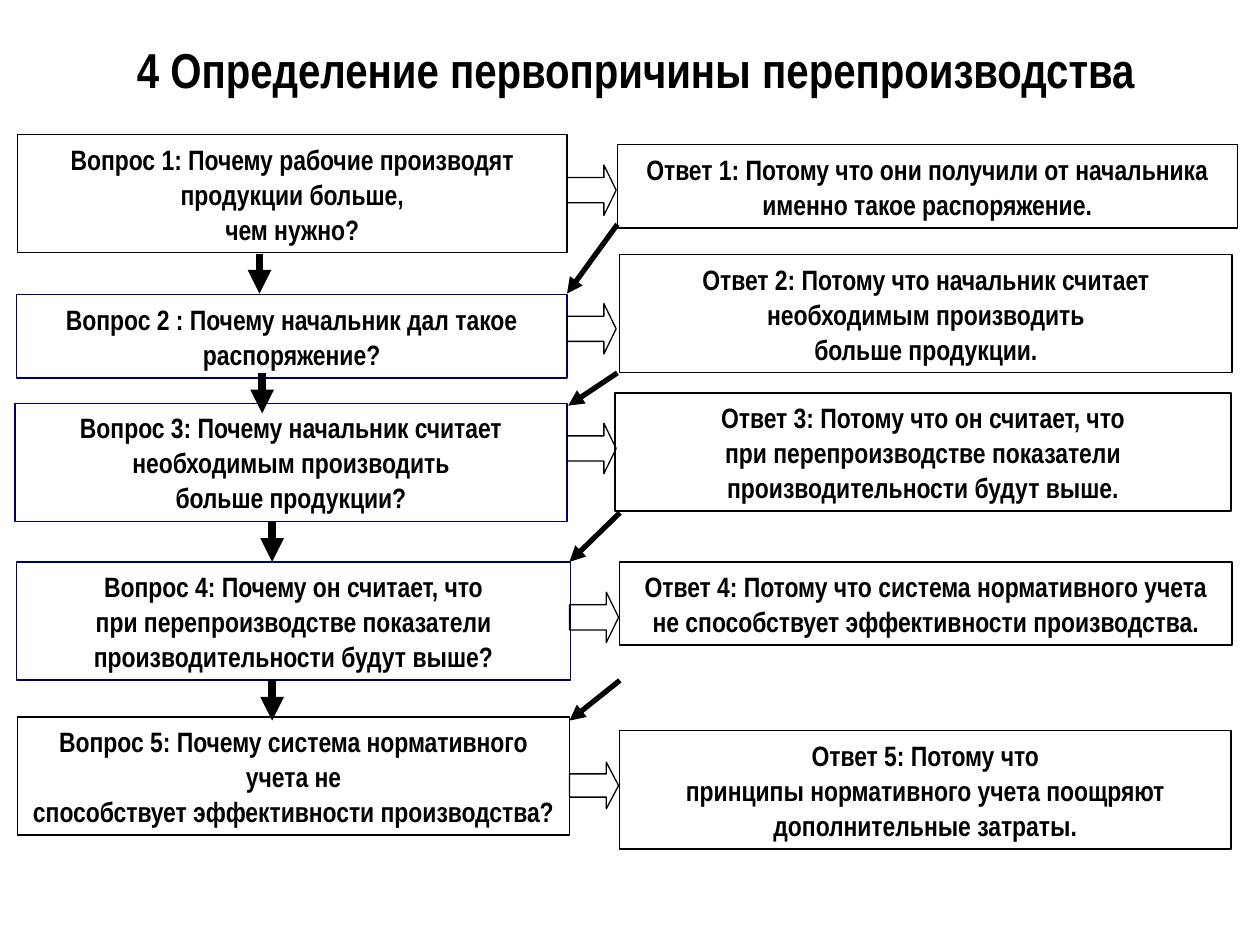
from dataclasses import dataclass

import pptx
import pptx.dml.color
import pptx.enum.shapes
import pptx.enum.text
import pptx.oxml
import pptx.oxml.ns
import pptx.util
from pptx.util import Pt

BLACK, NAVY = "000000", "000066"
LINE_PITCH = 20
BOX_PADDING = 7.5
TEXT_FORMAT = {"name": "Arial Narrow", "bold": True}


@dataclass
class Statement:
    left: float
    top: float
    width: float
    lines: int
    paragraphs: list[str]
    outline: str = BLACK


@dataclass
class BlockArrow:
    left: float
    top: float
    height: float = 28.8
    head: float = 0.25


@dataclass
class Link:
    start: tuple[float, float]
    end: tuple[float, float]
    weight: float


QUESTIONS = [
    Statement(10.1, 77, 313.9, 3, ["Вопрос 1: Почему рабочие производят продукции больше,", "чем нужно?"]),
    Statement(9.4, 168.5, 314.6, 2, ["Вопрос 2 : Почему начальник дал такое распоряжение?"], NAVY),
    Statement(8.6, 230.4, 315.4, 3,
              ["Вопрос 3: Почему начальник считает необходимым производить", "больше продукции?"], NAVY),
    Statement(9.4, 321.1, 316.8, 3,
              ["Вопрос 4: Почему он считает, что",
               "при перепроизводстве показатели производительности будут выше?"], NAVY),
    Statement(10.1, 409.7, 315.4, 3,
              ["Вопрос 5: Почему система нормативного учета не", "способствует эффективности производства?"]),
]
ANSWERS = [
    Statement(352.8, 82.8, 354.2, 2,
              ["Ответ 1: Потому что они получили от начальника именно такое распоряжение."]),
    Statement(354.2, 145.4, 349.9, 3,
              ["Ответ 2: Потому что начальник считает необходимым производить", "больше продукции."]),
    Statement(351.4, 224.6, 352.1, 3,
              ["Ответ 3: Потому что он считает, что",
               "при перепроизводстве показатели производительности будут выше."]),
    Statement(354.2, 321.1, 349.9, 2,
              ["Ответ 4: Потому что система нормативного учета не способствует эффективности производства."]),
    Statement(354.2, 417.6, 349.2, 3,
              ["Ответ 5: Потому что", "принципы нормативного учета поощряют дополнительные затраты."]),
]
TO_ANSWER = [
    BlockArrow(324, 94.3),
    BlockArrow(324, 173.5),
    BlockArrow(324, 241.9),
    BlockArrow(325.4, 338.4),
    BlockArrow(325.4, 435.6, 26.6, 0.264),
]
TO_NEXT_QUESTION = [
    Link((x, top), (x, bottom), 4.5)
    for x, top, bottom in [(148.3, 145.4, 167.8), (149.8, 213.1, 236.2),
                           (155.5, 298.1, 321.1), (155.5, 388.8, 411.8)]
]
FROM_ANSWER = [
    Link((352.8, 128.2), (324, 167.8), 3),
    Link((352.8, 213.1), (324.7, 231.8), 3),
    Link((354.2, 293), (325.4, 321.1), 3),
    Link((354.2, 388.8), (325.4, 411.8), 3),
]


def rgb(color: str) -> pptx.dml.color.RGBColor:
    return pptx.dml.color.RGBColor.from_string(color)


def write(frame, paragraphs: list[str], size: float, pitch: float) -> None:
    frame.word_wrap = True
    frame.vertical_anchor = pptx.enum.text.MSO_ANCHOR.TOP
    for number, wording in enumerate(paragraphs):
        paragraph = frame.add_paragraph() if number else frame.paragraphs[0]
        paragraph.alignment = pptx.enum.text.PP_ALIGN.CENTER
        paragraph.line_spacing = Pt(pitch)
        run = paragraph.add_run()
        run.text = wording
        for attribute, value in {**TEXT_FORMAT, "size": Pt(size)}.items():
            setattr(run.font, attribute, value)
        run.font.color.rgb = rgb(BLACK)


def add_outlined(slide, kind, left: float, top: float, width: float, height: float, outline: str):
    """Add an unfilled preset shape with a thin outline."""
    shape = slide.shapes.add_shape(kind, Pt(left), Pt(top), Pt(width), Pt(height))
    shape.shadow.inherit = False
    shape.fill.background()
    shape.line.color.rgb = rgb(outline)
    shape.line.width = Pt(0.75)
    return shape


def add_statement(slide, item: Statement) -> None:
    box = add_outlined(slide, pptx.enum.shapes.MSO_SHAPE.RECTANGLE, item.left, item.top,
                       item.width, item.lines * LINE_PITCH + BOX_PADDING, item.outline)
    write(box.text_frame, item.paragraphs, 16, LINE_PITCH)
    box.text_frame.auto_size = pptx.enum.text.MSO_AUTO_SIZE.SHAPE_TO_FIT_TEXT


def add_block_arrow(slide, item: BlockArrow) -> None:
    arrow = add_outlined(slide, pptx.enum.shapes.MSO_SHAPE.RIGHT_ARROW,
                         item.left, item.top, 28.1, item.height, BLACK)
    arrow.adjustments[0] = 0.5
    arrow.adjustments[1] = item.head


def add_link(slide, item: Link) -> None:
    ends = [Pt(value) for value in (*item.start, *item.end)]
    connector = slide.shapes.add_connector(pptx.enum.shapes.MSO_CONNECTOR.STRAIGHT, *ends)
    connector.line.color.rgb = rgb(BLACK)
    connector.line.width = Pt(item.weight)
    tail = pptx.oxml.parse_xml(f'<a:tailEnd {pptx.oxml.ns.nsdecls("a")} type="triangle"/>')
    connector.line._get_or_add_ln().append(tail)
    connector._element.spPr.append(
        pptx.oxml.parse_xml(f'<a:effectLst {pptx.oxml.ns.nsdecls("a")}/>'))


def main() -> None:
    deck = pptx.Presentation()
    deck.slide_width, deck.slide_height = Pt(720), Pt(540)
    slide = deck.slides.add_slide(deck.slide_layouts[6])

    title = slide.shapes.add_textbox(Pt(36.7), Pt(25.9), Pt(653), Pt(39.6))
    write(title.text_frame, ["4 Определение первопричины перепроизводства"], 28, 27)

    for statement in QUESTIONS + ANSWERS:
        add_statement(slide, statement)
    for arrow in TO_ANSWER:
        add_block_arrow(slide, arrow)
    for link in TO_NEXT_QUESTION + FROM_ANSWER:
        add_link(slide, link)

    deck.save("out.pptx")


if __name__ == "__main__":
    main()
